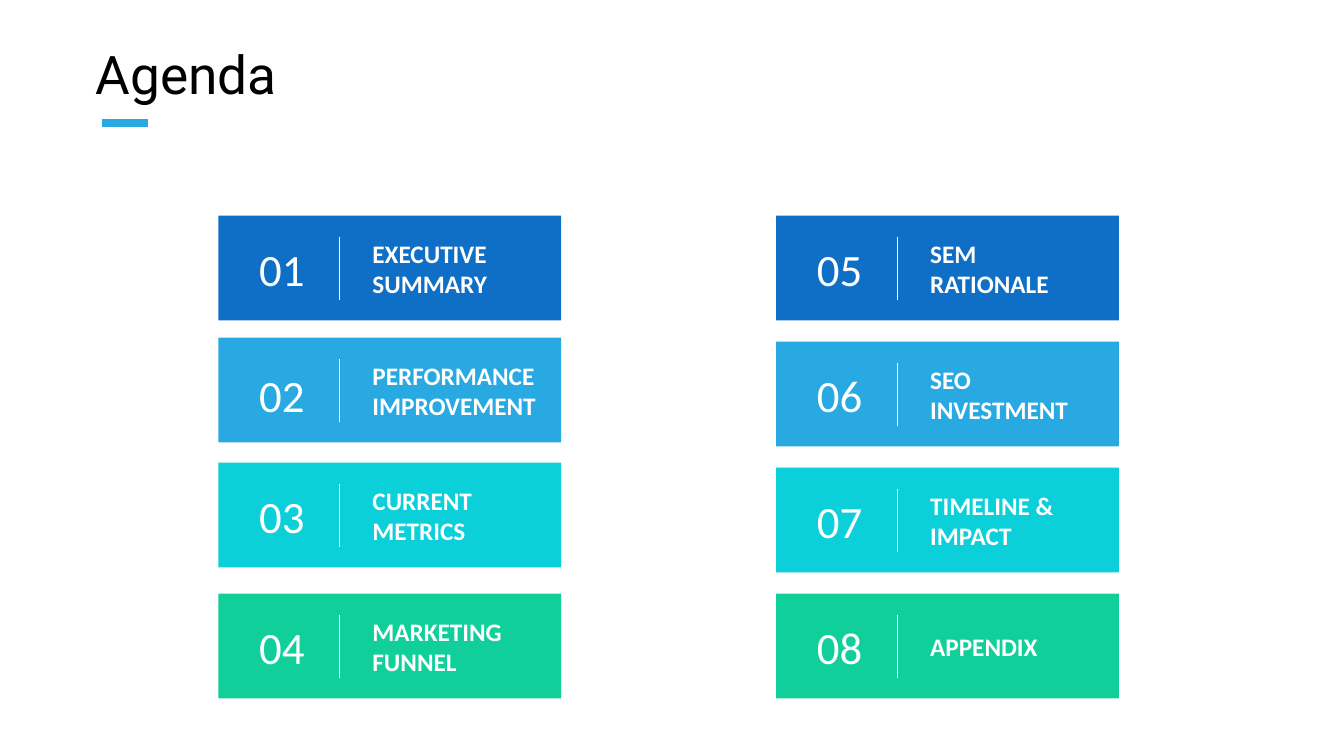
from lxml import etree
from pptx import Presentation, util as u
from pptx.dml.color import RGBColor
from pptx.enum import shapes, text
from pptx.oxml.ns import qn

WHITE, BLACK, SKY = "FFFFFF", "000000", "28A9E2"
ROW_FILLS = ["0F6FC6", SKY, "0BD0D9", "10CF9B"]
ROW_TOPS = [8.56, 13.56, 18.56, 23.56]
BAR_W, BAR_H = 10.2, 4.16

# Each column: left edge, tops of the bars, tops of the numbers, labels
AGENDA = [
    (6.5, [8.56, 13.4, 18.36, 23.56], [8.56, 13.56, 18.36, 23.56],
     ["EXECUTIVE SUMMARY", "PERFORMANCE IMPROVEMENT",
      "CURRENT METRICS", "MARKETING FUNNEL"]),
    (23.1, ROW_TOPS, ROW_TOPS,
     ["SEM\vRATIONALE", "SEO INVESTMENT", "TIMELINE & IMPACT", "APPENDIX"]),
]


def rgb(value):
    return RGBColor.from_string(value)


def write(tf, content, font="Calibri", size=18, color=WHITE, bold=False,
          align=text.PP_ALIGN.LEFT):
    p = tf.paragraphs[0]
    p.text = content
    p.alignment = align
    for r in p.runs:
        r.font.name, r.font.size, r.font.bold = font, u.Pt(size), bold
        r.font.color.rgb = rgb(color)


class Deck:
    """Slide on a grid of 40 columns by 30 rows; lengths are in grid cells."""

    def __init__(self):
        self.prs = Presentation()
        self.prs.slide_width = u.Inches(13.33)
        self.prs.slide_height = u.Inches(7.5)
        self.slide = self.prs.slides.add_slide(self.prs.slide_layouts[6])

    def x(self, cols):
        return round(self.prs.slide_width * cols / 40)

    def y(self, rows):
        return round(self.prs.slide_height * rows / 30)

    def box(self, left, top, width, height):
        return self.x(left), self.y(top), self.x(width), self.y(height)

    def bar(self, left, top, width, height, fill):
        sp = self.slide.shapes.add_shape(
            shapes.MSO_SHAPE.RECTANGLE, *self.box(left, top, width, height))
        sp.shadow.inherit = False
        sp.fill.solid()
        sp.fill.fore_color.rgb = rgb(fill)
        sp.line.fill.background()

    def line(self, x1, y1, x2, y2, color=WHITE, weight=0.5):
        cx = self.slide.shapes.add_connector(
            shapes.MSO_CONNECTOR.STRAIGHT,
            self.x(x1), self.y(y1), self.x(x2), self.y(y2))
        cx.line.color.rgb = rgb(color)
        cx.line.width = u.Pt(weight)
        etree.SubElement(cx._element.spPr, qn("a:effectLst"))

    def text(self, left, top, width, height, content,
             anchor=text.MSO_ANCHOR.MIDDLE, **style):
        sp = self.slide.shapes.add_textbox(*self.box(left, top, width, height))
        tf = sp.text_frame
        tf.word_wrap = True
        tf.vertical_anchor = anchor
        write(tf, content, **style)


def main():
    deck = Deck()
    deck.text(2.55, 1.44, 31.2, 2.96, "Agenda", anchor=text.MSO_ANCHOR.TOP,
              font="Roboto", size=38, color=BLACK)
    deck.line(3.03, 4.88, 4.41, 4.88, color=SKY, weight=6)

    number = 0
    for left, bar_tops, number_tops, labels in AGENDA:
        for top, number_top, label, fill in zip(
                bar_tops, number_tops, labels, ROW_FILLS):
            number += 1
            deck.bar(left, top, BAR_W, BAR_H, fill)
            deck.text(left + 0.18, number_top, 3.42, BAR_H, f"{number:02}",
                      size=32, align=text.PP_ALIGN.CENTER)
            deck.line(left + 3.6, top + 0.84, left + 3.6, top + 3.34)
            deck.text(left + 4.29, top, 5.9, BAR_H, label, bold=True)
    deck.prs.save("out.pptx")


if __name__ == "__main__":
    main()
